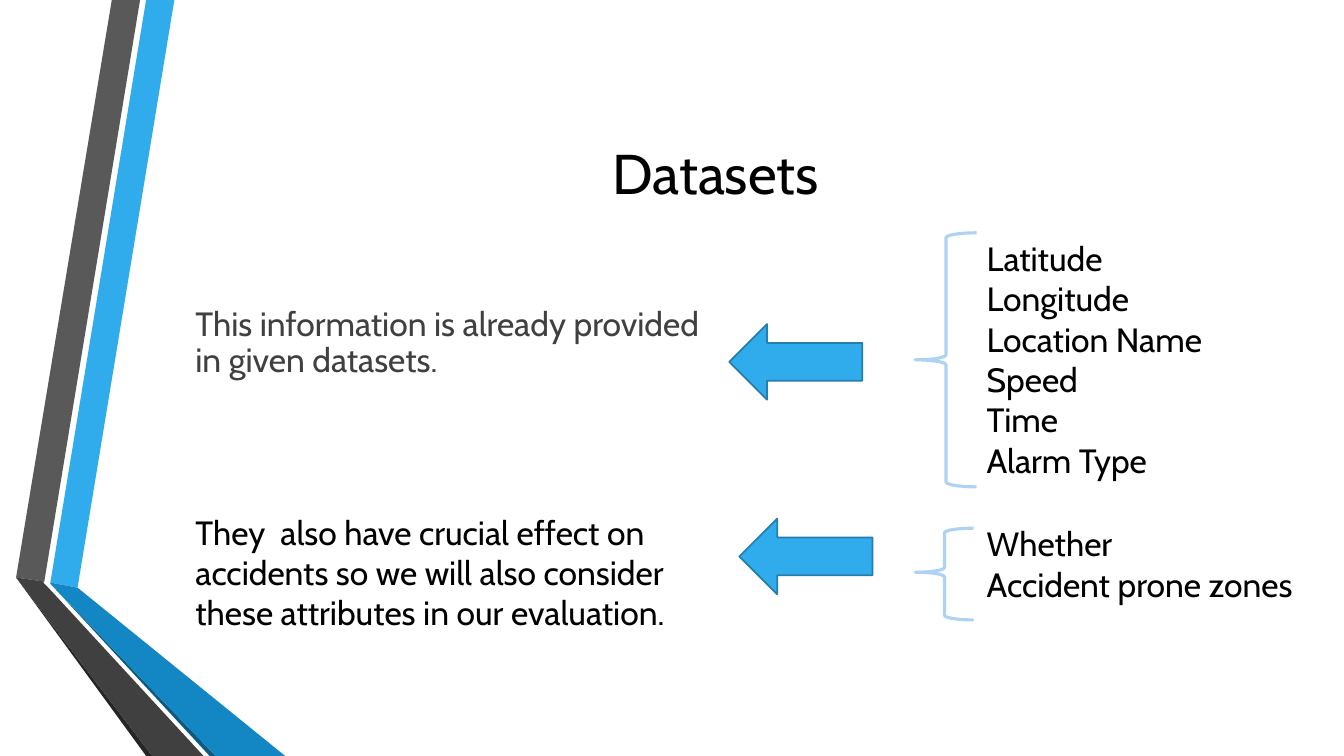
from pptx import Presentation
from pptx.dml.color import RGBColor
from pptx.enum.shapes import MSO_SHAPE
from pptx.enum.text import MSO_ANCHOR, PP_ALIGN
from pptx.util import Pt

COLS, ROWS, CELL = 160, 90, 76200  # grid of 1/12 inch cells
THEME = {
    "font": "Cabin", "title": Pt(40), "body": Pt(24),
    "ink": "000000", "muted": "404040",
    "accent": "30ACEC", "accent_line": "247FAF", "brace": "AED2F4",
    "foot": "1287C3", "foot_edge": "0C5A82",
    "grey": "595959", "grey_foot": "404040", "grey_edge": "262626",
}


def grid(*cells):
    """Turn grid cells into slide lengths."""
    return [round(c * CELL) for c in cells]


def paint(sp, fill=None, line=None, width=0):
    """Set fill and line by theme name, without shadow."""
    sp.shadow.inherit = False
    for part, name in ((sp.fill, fill), (sp.line.fill, line)):
        if name:
            part.solid()
            part.fore_color.rgb = RGBColor.from_string(THEME[name])
        else:
            part.background()
    if line:
        sp.line.width = Pt(width)


prs = Presentation()
prs.slide_width, prs.slide_height = grid(COLS, ROWS)
s = prs.slides.add_slide(prs.slide_layouts[6])

# Bent ribbons on the left, back to front
knee, outer = (6, 69.48), (1.92, 68.76)
ribbons = [
    ("accent", [(6, 69.36), (9.24, 69.96), (20.76, 0), (17.4, 0)]),
    ("grey", [(16.68, 0), (13.32, 0), outer, (5.28, 69.24)]),
    ("grey_edge", [outer, (17.4, ROWS), (18.12, ROWS)]),
    ("foot_edge", [knee, (24.96, ROWS), (25.68, ROWS)]),
    ("foot", [knee, (25.68, ROWS), (33.96, ROWS), (9.24, 69.96), (6, 69.36)]),
    ("grey_foot", [(24.24, ROWS), (5.76, 69.96), (5.16, 69.36), (5.28, 69.24),
                   outer, (18.12, ROWS)]),
]
for color, points in ribbons:
    start, *rest = [grid(*pt) for pt in points]
    ff = s.shapes.build_freeform(*start)
    ff.add_line_segments(rest, close=True)
    paint(ff.convert_to_shape(), color)

# Texts: box, lines, type size, colour, frame format, paragraph format
LEFT, RIGHT = 22.08, 116.28
middle = {"vertical_anchor": MSO_ANCHOR.MIDDLE}
texts = [
    ((19.44, 9, 131.52, 23.04), ["Datasets"], "title", "ink",
     middle, {"alignment": PP_ALIGN.CENTER}),
    ((LEFT, 58.56, 64.8, 19.08),
     ["They  also have crucial effect on accidents so we will also consider "
      "these attributes in our evaluation. "], "body", "ink",
     middle, {"space_before": Pt(4.8), "space_after": Pt(6)}),
    ((RIGHT, 27.72, 37.8, 30.24),
     ["Latitude", "Longitude", "Location Name", "Speed", "Time", "Alarm Type"],
     "body", "ink", {}, {}),
    ((RIGHT, 61.68, 40.2, 10.92), ["Whether", "Accident prone zones"],
     "body", "ink", {}, {}),
    ((LEFT, 36, 61.56, 19.08),
     ["This information is already provided in given datasets."],
     "body", "muted", {"margin_right": 0},
     {"line_spacing": 0.9, "space_before": Pt(12), "space_after": Pt(2)}),
]
for box, lines, size, color, frame, para in texts:
    tf = s.shapes.add_textbox(*grid(*box)).text_frame
    for key, value in {"word_wrap": True, **frame}.items():
        setattr(tf, key, value)
    for i, line in enumerate(lines):
        p = tf.add_paragraph() if i else tf.paragraphs[0]
        for key, value in para.items():
            setattr(p, key, value)
        r = p.add_run()
        r.text = line
        r.font.color.rgb = RGBColor.from_string(THEME[color])
        for key, value in {"name": THEME["font"], "size": THEME[size]}.items():
            setattr(r.font, key, value)

# Arrows pointing from the attributes to the remarks
for x, y in ((90.24, 35.16), (91.44, 58.32)):
    sp = s.shapes.add_shape(MSO_SHAPE.DOWN_ARROW, *grid(x, y, 9, 15.84))
    sp.rotation = 90
    paint(sp, "accent", "accent_line", 1.25)

# Braces around the two attribute lists
for y, w, h, bend in ((27.72, 7.32, 30.24, 0.5), (62.88, 6.96, 10.92, 0.48)):
    sp = s.shapes.add_shape(MSO_SHAPE.LEFT_BRACE, *grid(108.96, y, w, h))
    sp.adjustments[0], sp.adjustments[1] = 0.08, bend
    paint(sp, line="brace", width=2.25)

prs.save("out.pptx")
